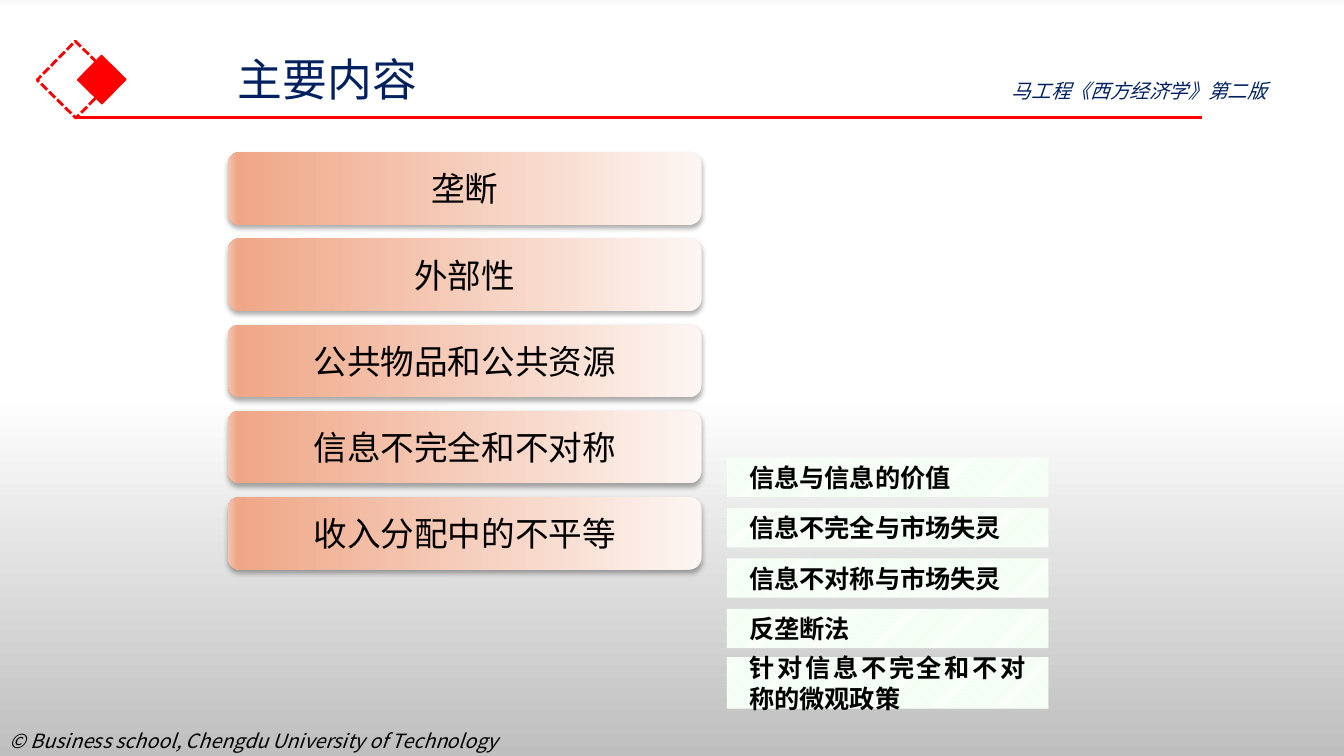
from dataclasses import dataclass

from lxml import etree
from pptx import Presentation
from pptx.dml.color import RGBColor
from pptx.enum.dml import MSO_LINE, MSO_PATTERN
from pptx.enum.shapes import MSO_CONNECTOR, MSO_SHAPE
from pptx.enum.text import MSO_ANCHOR, MSO_AUTO_SIZE, PP_ALIGN
from pptx.oxml.ns import qn
from pptx.util import Inches, Pt

RECTANGLE = MSO_SHAPE.RECTANGLE
ROUNDED = MSO_SHAPE.ROUNDED_RECTANGLE
STRAIGHT = MSO_CONNECTOR.STRAIGHT
SHORT_DASH = MSO_LINE.SQUARE_DOT
DIAGONAL = MSO_PATTERN.LIGHT_UPWARD_DIAGONAL
LEFT, CENTER, JUSTIFY = PP_ALIGN.LEFT, PP_ALIGN.CENTER, PP_ALIGN.JUSTIFY
MIDDLE = MSO_ANCHOR.MIDDLE
GROW = MSO_AUTO_SIZE.SHAPE_TO_FIT_TEXT

WIDTH, HEIGHT = Inches(13.33), Inches(7.5)
SANS, BODY = "Noto Sans CJK SC", "Calibri"
RED, NAVY, BLACK = "FF0000", "002060", "000000"
BACKGROUND_STOPS = [(0, "F9F9F9"), (1, "FFFFFF"), (52, "FFFFFF"), (100, "BFBFBF")]
BAR_STOPS = [(0, "FDF5F2"), (98, "EFA787"), (100, "F4C4AF")]


@dataclass(frozen=True)
class Area:
    """A rectangle in percent of the slide's width and height."""
    left: float
    top: float
    width: float
    height: float

    def lengths(self):
        return (across(self.left), down(self.top),
                across(self.width), down(self.height))


@dataclass(frozen=True)
class Style:
    size: float
    font: str = SANS
    color: str = BLACK
    bold: bool = False
    italic: bool = False
    align: PP_ALIGN = LEFT


@dataclass(frozen=True)
class Label:
    text: str
    area: Area
    style: Style


BAR_STYLE = Style(24, align=CENTER)
NOTE_STYLE = Style(18, BODY, bold=True, align=JUSTIFY)

LABELS = [
    Label("© Business school, Chengdu University of Technology",
          Area(0, 95.73, 50, 8.53), Style(14, italic=True)),
    Label("主要内容", Area(16.95, 6.13, 40.2, 8.53), Style(32, color=NAVY)),
    Label("马工程《西方经济学》第二版", Area(74.55, 9.73, 24.3, 4.53),
          Style(14, color=NAVY, italic=True)),
]
TOPICS = ["垄断", "外部性", "公共物品和公共资源", "信息不完全和不对称", "收入分配中的不平等"]
SUBTOPICS = ["信息与信息的价值", "信息不完全与市场失灵", "信息不对称与市场失灵", "反垄断法"]
LAST_SUBTOPIC = "针对信息不完全和不对称的微观政策"


def across(percent: float) -> int:
    return int(WIDTH * percent / 100)


def down(percent: float) -> int:
    return int(HEIGHT * percent / 100)


def rgb(color: str) -> RGBColor:
    return RGBColor.from_string(color)


def set_gradient(fill, element, stops: list, angle: float) -> None:
    """Fill with any number of stops; element is the XML holding the fill."""
    fill.gradient()
    fill.gradient_angle = angle
    stop_list = element.find(".//" + qn("a:gsLst"))
    for stop in list(stop_list):
        stop_list.remove(stop)
    for position, color in stops:
        stop = etree.SubElement(stop_list, qn("a:gs"), pos=str(position * 1000))
        etree.SubElement(stop, qn("a:srgbClr"), val=color)


def add_shadow(shape) -> None:
    effects = shape._element.spPr.find(qn("a:effectLst"))
    shadow = etree.SubElement(effects, qn("a:outerShdw"), blurRad=str(Pt(3.5)),
                              dist=str(Pt(2.2)), dir="5400000", rotWithShape="0")
    color = etree.SubElement(shadow, qn("a:srgbClr"), val=BLACK)
    etree.SubElement(color, qn("a:alpha"), val="32000")


def write(shape, text: str, style: Style) -> None:
    shape.text_frame.word_wrap = True
    para = shape.text_frame.paragraphs[0]
    para.text = text
    para.alignment = style.align
    font = para.font
    font.name, font.size = style.font, Pt(style.size)
    font.bold, font.italic = style.bold, style.italic
    font.color.rgb = rgb(style.color)
    defaults = para._p.find(".//" + qn("a:defRPr"))
    etree.SubElement(defaults, qn("a:ea"), typeface=style.font)


def add_label(page, label: Label) -> None:
    box = page.shapes.add_textbox(*label.area.lengths())
    write(box, label.text, label.style)
    box.text_frame.auto_size = GROW


def add_plain(page, kind: MSO_SHAPE, area: Area):
    shape = page.shapes.add_shape(kind, *area.lengths())
    shape.shadow.inherit = False
    return shape


def add_diamond(page, area: Area, line_width: float):
    diamond = add_plain(page, RECTANGLE, area)
    diamond.rotation = 314.5
    diamond.fill.background()
    diamond.line.color.rgb = rgb(RED)
    diamond.line.width = Pt(line_width)
    return diamond


def add_header_mark(page) -> None:
    add_diamond(page, Area(3.6, 6.93, 4.05, 7.2), 2).line.dash_style = SHORT_DASH
    solid = add_diamond(page, Area(6.3, 8.27, 2.55, 4.53), 1)
    solid.fill.solid()
    solid.fill.fore_color.rgb = rgb(RED)
    rule = page.shapes.add_connector(STRAIGHT, across(5.63), down(15.6),
                                     across(89.4), down(15.6))
    rule.line.color.rgb = rgb(RED)
    rule.line.width = Pt(2.25)
    etree.SubElement(rule._element.spPr, qn("a:effectLst"))


def add_bar(page, text: str, area: Area) -> None:
    bar = add_plain(page, ROUNDED, area)
    set_gradient(bar.fill, bar._element, BAR_STOPS, 180)
    bar.line.fill.background()
    add_shadow(bar)
    bar.text_frame.vertical_anchor = MIDDLE
    write(bar, text, BAR_STYLE)


def add_note(page, text: str, area: Area) -> None:
    note = add_plain(page, RECTANGLE, area)
    note.fill.patterned()
    note.fill.pattern = DIAGONAL
    note.fill.fore_color.rgb = rgb("CCFFCC")
    note.fill.back_color.rgb = rgb("FFFFFF")
    note.line.fill.background()
    frame = note.text_frame
    frame.vertical_anchor = MIDDLE
    frame.margin_left = frame.margin_right = Inches(0.22)
    write(note, text, NOTE_STYLE)


def main() -> None:
    deck = Presentation()
    deck.slide_width, deck.slide_height = WIDTH, HEIGHT
    page = deck.slides.add_slide(deck.slide_layouts[6])
    set_gradient(page.background.fill, page._element, BACKGROUND_STOPS, 270)
    add_header_mark(page)
    for label in LABELS:
        add_label(page, label)
    for row, topic in enumerate(TOPICS):
        add_bar(page, topic, Area(16.95, 20.13 + 11.4 * row, 35.25, 9.6))
    for row, subtopic in enumerate(SUBTOPICS):
        add_note(page, subtopic, Area(54.08, 60.53 + 6.67 * row, 23.93, 5.2))
    add_note(page, LAST_SUBTOPIC, Area(54.08, 86.93, 23.93, 6.8))
    deck.save("out.pptx")


if __name__ == "__main__":
    main()
